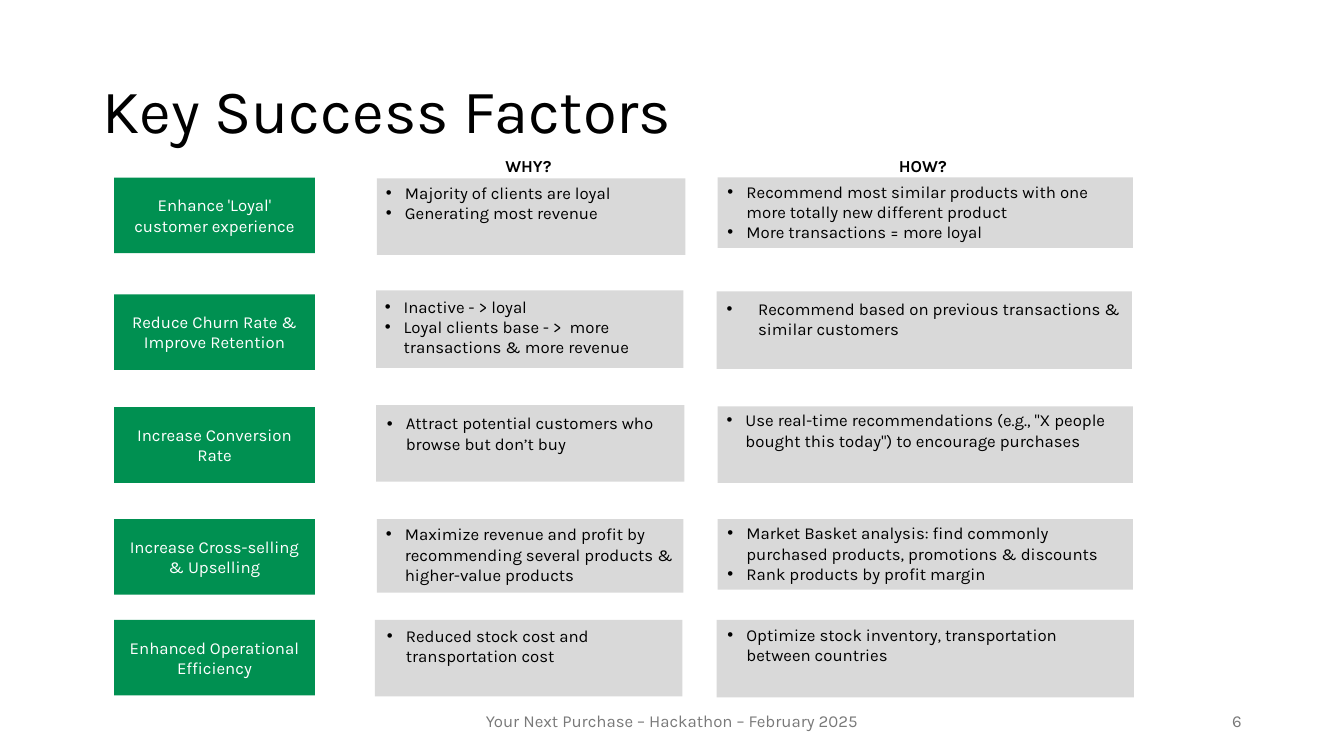
from dataclasses import dataclass

from lxml.etree import SubElement
from pptx import Presentation
from pptx.dml.color import RGBColor
from pptx.enum.shapes import MSO_SHAPE
from pptx.enum.text import MSO_ANCHOR, PP_ALIGN
from pptx.oxml.ns import qn
from pptx.slide import Slide
from pptx.text.text import TextFrame
from pptx.util import Pt


@dataclass(frozen=True)
class Theme:
    font: str = "Karla"
    ink: RGBColor = RGBColor(0x00, 0x00, 0x00)
    muted: RGBColor = RGBColor(0x79, 0x79, 0x79)
    light: RGBColor = RGBColor(0xFF, 0xFF, 0xFF)
    factor_fill: RGBColor = RGBColor(0x00, 0x90, 0x51)
    panel_fill: RGBColor = RGBColor(0xD9, 0xD9, 0xD9)
    title_size: float = 44
    body_size: float = 12


@dataclass(frozen=True)
class Box:
    left: float
    top: float
    width: float
    height: float


@dataclass(frozen=True)
class Style:
    color: RGBColor
    size: float
    align: PP_ALIGN = PP_ALIGN.LEFT
    anchor: MSO_ANCHOR = MSO_ANCHOR.TOP
    bold: bool = False
    line_spacing: float = 1.0
    bullet_indent: float = 0


@dataclass(frozen=True)
class Answer:
    panel: Box
    text: Box
    points: tuple[str, ...]
    indent: float = 13.5


@dataclass(frozen=True)
class Factor:
    top: float
    label: tuple[str, ...]
    why: Answer
    how: Answer


@dataclass(frozen=True)
class Caption:
    box: Box
    text: str
    style: Style


THEME = Theme()
LABEL_STYLE = Style(THEME.light, THEME.body_size, PP_ALIGN.CENTER, MSO_ANCHOR.MIDDLE)
HEADING_STYLE = Style(THEME.ink, THEME.body_size, PP_ALIGN.CENTER, bold=True)

CAPTIONS = (
    Caption(Box(66, 28.8, 828, 104.4), "Key Success Factors",
            Style(THEME.ink, THEME.title_size, anchor=MSO_ANCHOR.MIDDLE, line_spacing=0.9)),
    Caption(Box(678, 500.5, 216, 28.8), "6",
            Style(THEME.muted, THEME.body_size, PP_ALIGN.RIGHT, MSO_ANCHOR.MIDDLE)),
    Caption(Box(318, 500.5, 324, 28.8), "Your Next Purchase – Hackathon – February 2025",
            Style(THEME.muted, THEME.body_size, PP_ALIGN.CENTER, MSO_ANCHOR.MIDDLE)),
    Caption(Box(284.5, 107.5, 185.8, 21.8), "WHY?", HEADING_STYLE),
    Caption(Box(510.5, 107.5, 297.4, 21.8), "HOW?", HEADING_STYLE),
)

FACTORS = (
    Factor(
        126.8, ("Enhance 'Loyal' customer experience",),
        Answer(Box(269.3, 127.4, 220.3, 54.7), Box(268.6, 126.7, 185.8, 36),
               ("Majority of clients are loyal", "Generating most revenue")),
        Answer(Box(512.6, 126.7, 296.6, 50.4), Box(512.6, 126, 297.4, 65.5),
               ("Recommend most similar products with one more totally new different product",
                "More transactions = more loyal")),
    ),
    Factor(
        210.2, ("Reduce Churn Rate & Improve Retention",),
        Answer(Box(268.6, 207.4, 219.6, 55.4), Box(267.8, 208.1, 220.3, 51.1),
               ("Inactive - > loyal",
                "Loyal clients base - >  more transactions & more revenue")),
        Answer(Box(511.9, 208.1, 296.6, 55.4), Box(511.9, 209.5, 297.4, 36),
               ("Recommend based on previous transactions & similar customers",), 22.5),
    ),
    Factor(
        290.9, ("Increase Conversion Rate",),
        Answer(Box(268.6, 289.4, 220.3, 54.7), Box(269.3, 291.6, 218.2, 51.1),
               ("Attract potential customers who browse but don’t buy",)),
        Answer(Box(512.6, 290.2, 296.6, 54.7), Box(511.9, 289.4, 297.4, 36),
               ('Use real-time recommendations (e.g., "X people bought this today") '
                "to encourage purchases",)),
    ),
    Factor(
        370.8, ("Increase Cross-selling", "& Upselling"),
        Answer(Box(269.3, 370.8, 218.9, 52.6), Box(268.6, 370.8, 221, 51.1),
               ("Maximize revenue and profit by recommending several products & "
                "higher-value products",)),
        Answer(Box(512.6, 370.8, 296.6, 50.4), Box(512.6, 370.1, 297.4, 51.1),
               ("Market Basket analysis: find commonly purchased products, "
                "promotions & discounts",
                "Rank products by profit margin")),
    ),
    Factor(
        442.8, ("Enhanced Operational Efficiency",),
        Answer(Box(267.8, 442.8, 219.6, 54.7), Box(269.3, 443.5, 219.6, 36),
               ("Reduced stock cost and transportation cost",)),
        Answer(Box(511.9, 442.8, 298.1, 55.4), Box(512.6, 442.8, 297.4, 36),
               ("Optimize stock inventory, transportation between countries",)),
    ),
)


def write_text(frame: TextFrame, lines: tuple[str, ...], style: Style) -> None:
    frame.word_wrap = True
    frame.vertical_anchor = style.anchor
    for index, line in enumerate(lines):
        paragraph = frame.paragraphs[0] if index == 0 else frame.add_paragraph()
        paragraph.alignment = style.align
        paragraph.line_spacing = style.line_spacing
        if style.bullet_indent:
            properties = paragraph._p.get_or_add_pPr()
            properties.set("marL", str(Pt(style.bullet_indent)))
            properties.set("indent", str(-Pt(style.bullet_indent)))
            SubElement(properties, qn("a:buFont")).set("typeface", "Arial")
            SubElement(properties, qn("a:buChar")).set("char", "•")
        run = paragraph.add_run()
        run.text = line
        run.font.name = THEME.font
        run.font.size = Pt(style.size)
        run.font.bold = style.bold
        run.font.color.rgb = style.color


def draw_panel(slide: Slide, box: Box, fill: RGBColor) -> TextFrame:
    panel = slide.shapes.add_shape(MSO_SHAPE.RECTANGLE, Pt(box.left), Pt(box.top),
                                   Pt(box.width), Pt(box.height))
    panel.shadow.inherit = False
    panel.fill.solid()
    panel.fill.fore_color.rgb = fill
    panel.line.fill.background()
    return panel.text_frame


def draw_text(slide: Slide, box: Box, lines: tuple[str, ...], style: Style) -> None:
    textbox = slide.shapes.add_textbox(Pt(box.left), Pt(box.top),
                                       Pt(box.width), Pt(box.height))
    write_text(textbox.text_frame, lines, style)


def draw_answer(slide: Slide, answer: Answer) -> None:
    draw_panel(slide, answer.panel, THEME.panel_fill)
    draw_text(slide, answer.text, answer.points,
              Style(THEME.ink, THEME.body_size, bullet_indent=answer.indent))


def draw_factor(slide: Slide, factor: Factor) -> None:
    label = draw_panel(slide, Box(81.5, factor.top, 143.5, 54), THEME.factor_fill)
    write_text(label, factor.label, LABEL_STYLE)
    draw_answer(slide, factor.why)
    draw_answer(slide, factor.how)


def main() -> None:
    presentation = Presentation()
    presentation.slide_width = Pt(960)
    presentation.slide_height = Pt(540)
    slide = presentation.slides.add_slide(presentation.slide_layouts[6])
    for caption in CAPTIONS:
        draw_text(slide, caption.box, (caption.text,), caption.style)
    for factor in FACTORS:
        draw_factor(slide, factor)
    presentation.save("out.pptx")


if __name__ == "__main__":
    main()
